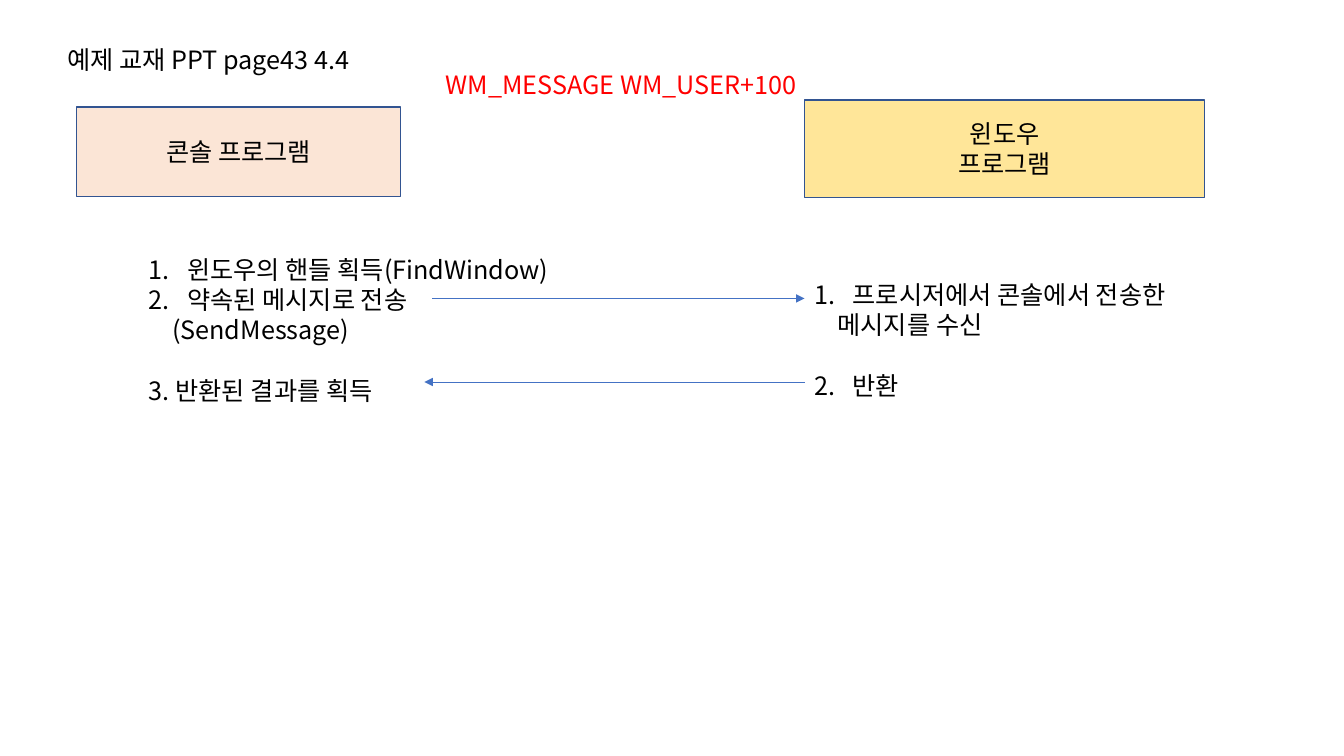
from dataclasses import dataclass

from lxml import etree
from pptx import Presentation
from pptx import util as u
from pptx.dml.color import RGBColor
from pptx.enum import shapes, text
from pptx.oxml.ns import qn

FONT = "Noto Sans CJK KR"
SIZE = 18
LINE_GAP = 1.2 * SIZE
WIDTH, HEIGHT = u.Inches(13.33), u.Inches(7.5)
BLACK, RED, BLUE, NAVY = "000000", "FF0000", "4472C4", "325491"
HANG, CONTINUATION = 0.38, 0.23
WINDOW_LEFT = 59.86


@dataclass(frozen=True)
class Area:
    left: float
    top: float
    width: float
    height: float


@dataclass(frozen=True)
class Line:
    words: str
    margin: float = 0
    hanging: bool = False
    numbered: bool = False
    gap: float = 0


@dataclass(frozen=True)
class Label:
    area: Area
    lines: tuple[Line, ...]
    color: str = BLACK


@dataclass(frozen=True)
class Program:
    area: Area
    lines: tuple[Line, ...]
    fill: str


@dataclass(frozen=True)
class Arrow:
    start: float
    end: float
    level: float


PROGRAMS = (
    Program(Area(5.7, 14.13, 24.08, 11.87), (Line("콘솔 프로그램"),), "FBE5D6"),
    Program(Area(WINDOW_LEFT, 13.2, 29.78, 12.93), (Line("윈도우"), Line("프로그램")), "FFE699"),
)

ARROWS = (
    Arrow(32.18, WINDOW_LEFT, 39.47),
    Arrow(WINDOW_LEFT, 31.58, 50.53),
)

LABELS = (
    Label(Area(4.28, 5.2, 23.78, 5.33), (Line("예제 교재 PPT page43 4.4"),)),
    Label(Area(10.35, 32.93, 32.63, 21.6), (
        Line("윈도우의 핸들 획득(FindWindow)", HANG, True, True),
        Line("약속된 메시지로 전송", HANG, True, True),
        Line("(SendMessage)", CONTINUATION),
        Line("3. 반환된 결과를 획득", gap=LINE_GAP),
    )),
    Label(Area(WINDOW_LEFT, 36.27, 30.31, 17.47), (
        Line("프로시저에서 콘솔에서 전송한", HANG, True, True),
        Line("메시지를 수신", CONTINUATION),
        Line("2.\t반환", HANG, True, gap=LINE_GAP),
    )),
    Label(Area(32.41, 8.53, 28.73, 5.33), (Line("WM_MESSAGE WM_USER+100"),), RED),
)


def rgb(color: str) -> RGBColor:
    return RGBColor.from_string(color)


def across(share: float) -> int:
    return round(WIDTH * share / 100)


def down(share: float) -> int:
    return round(HEIGHT * share / 100)


def place(area: Area) -> tuple[int, int, int, int]:
    return across(area.left), down(area.top), across(area.width), down(area.height)


def write(frame, lines: tuple[Line, ...], color: str, align) -> None:
    frame.text = "\n".join(line.words for line in lines)
    for para, line in zip(frame.paragraphs, lines):
        para.alignment = align
        para.space_before = u.Pt(line.gap)
        settings = para._p.get_or_add_pPr()
        settings.set("marL", str(u.Inches(line.margin)))
        settings.set("indent", str(u.Inches(-line.margin if line.hanging else 0)))
        if line.numbered:
            etree.SubElement(settings, qn("a:buFont"), typeface="+mj-lt")
            etree.SubElement(settings, qn("a:buAutoNum"), type="arabicPeriod")
        for span in para.runs:
            span.font.name = FONT
            span.font.size = u.Pt(SIZE)
            span.font.color.rgb = rgb(color)
            etree.SubElement(span.font._element, qn("a:ea"), typeface=FONT)


def draw_program(page, program: Program) -> None:
    box = page.shapes.add_shape(shapes.MSO_SHAPE.RECTANGLE, *place(program.area))
    box.shadow.inherit = False
    box.fill.solid()
    box.fill.fore_color.rgb = rgb(program.fill)
    box.line.color.rgb = rgb(NAVY)
    box.line.width = u.Pt(1)
    box.text_frame.vertical_anchor = text.MSO_ANCHOR.MIDDLE
    write(box.text_frame, program.lines, BLACK, text.PP_ALIGN.CENTER)


def draw_arrow(page, arrow: Arrow) -> None:
    level = down(arrow.level)
    connector = page.shapes.add_connector(
        shapes.MSO_CONNECTOR.STRAIGHT, across(arrow.start), level, across(arrow.end), level
    )
    connector.line.color.rgb = rgb(BLUE)
    connector.line.width = u.Pt(0.5)
    etree.SubElement(connector.line._get_or_add_ln(), qn("a:tailEnd"), type="triangle")
    etree.SubElement(connector._element.spPr, qn("a:effectLst"))


def draw_label(page, label: Label) -> None:
    box = page.shapes.add_textbox(*place(label.area))
    box.text_frame.word_wrap = False
    box.text_frame.auto_size = text.MSO_AUTO_SIZE.SHAPE_TO_FIT_TEXT
    write(box.text_frame, label.lines, label.color, text.PP_ALIGN.LEFT)


def main() -> None:
    deck = Presentation()
    deck.slide_width, deck.slide_height = WIDTH, HEIGHT
    page = deck.slides.add_slide(deck.slide_layouts[6])
    for program in PROGRAMS:
        draw_program(page, program)
    for arrow in ARROWS:
        draw_arrow(page, arrow)
    for label in LABELS:
        draw_label(page, label)
    deck.save("out.pptx")


if __name__ == "__main__":
    main()
